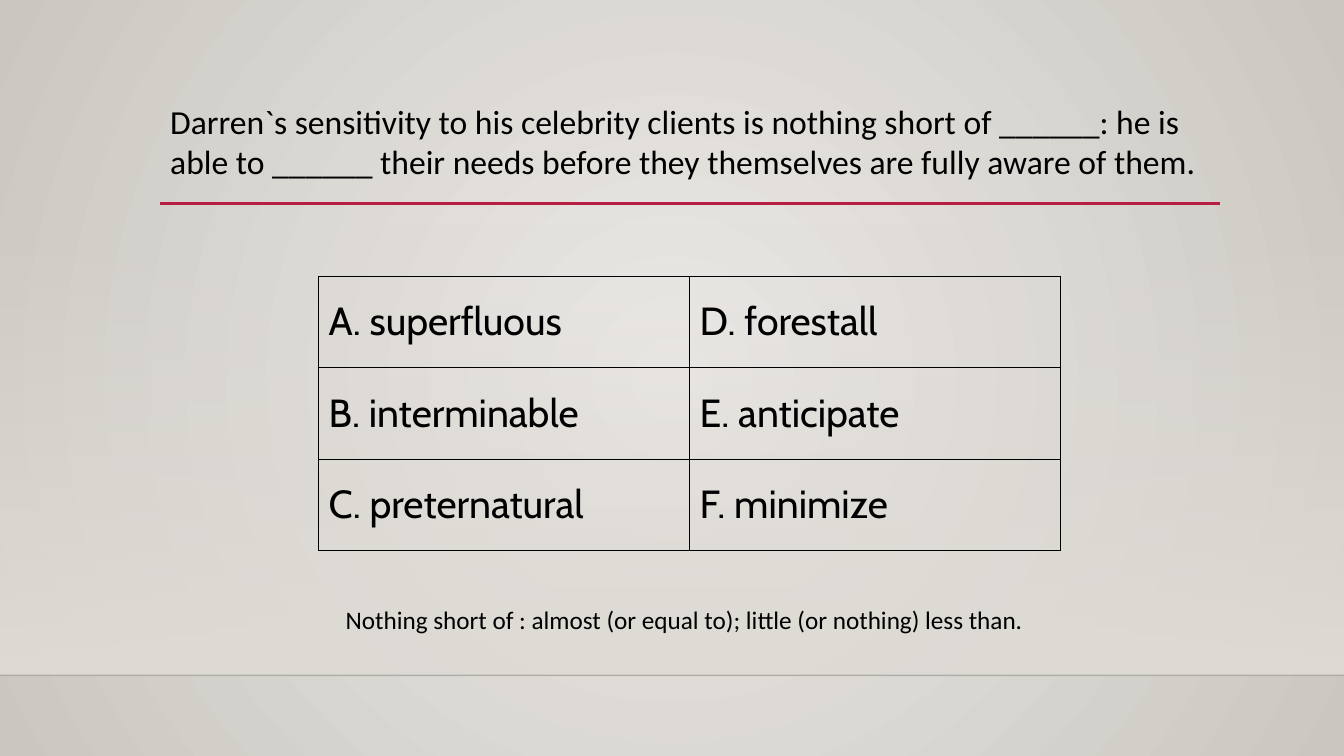
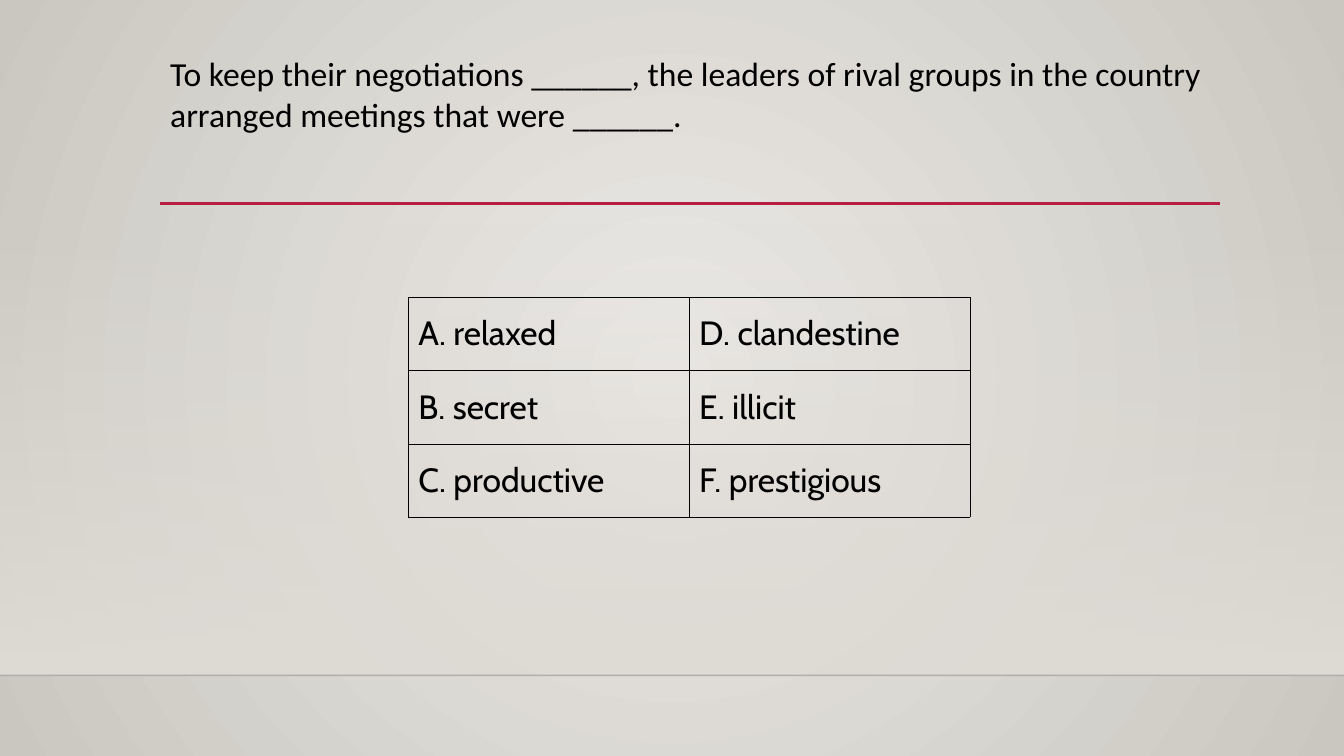
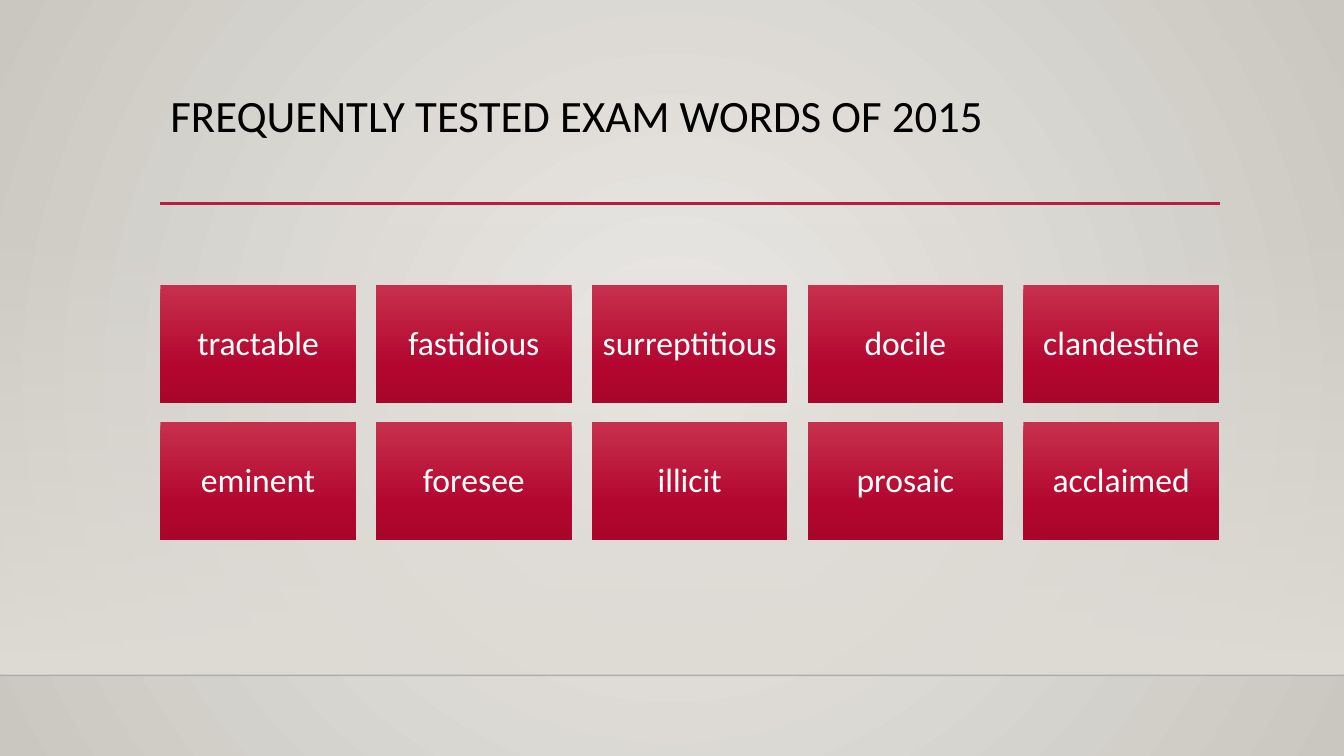
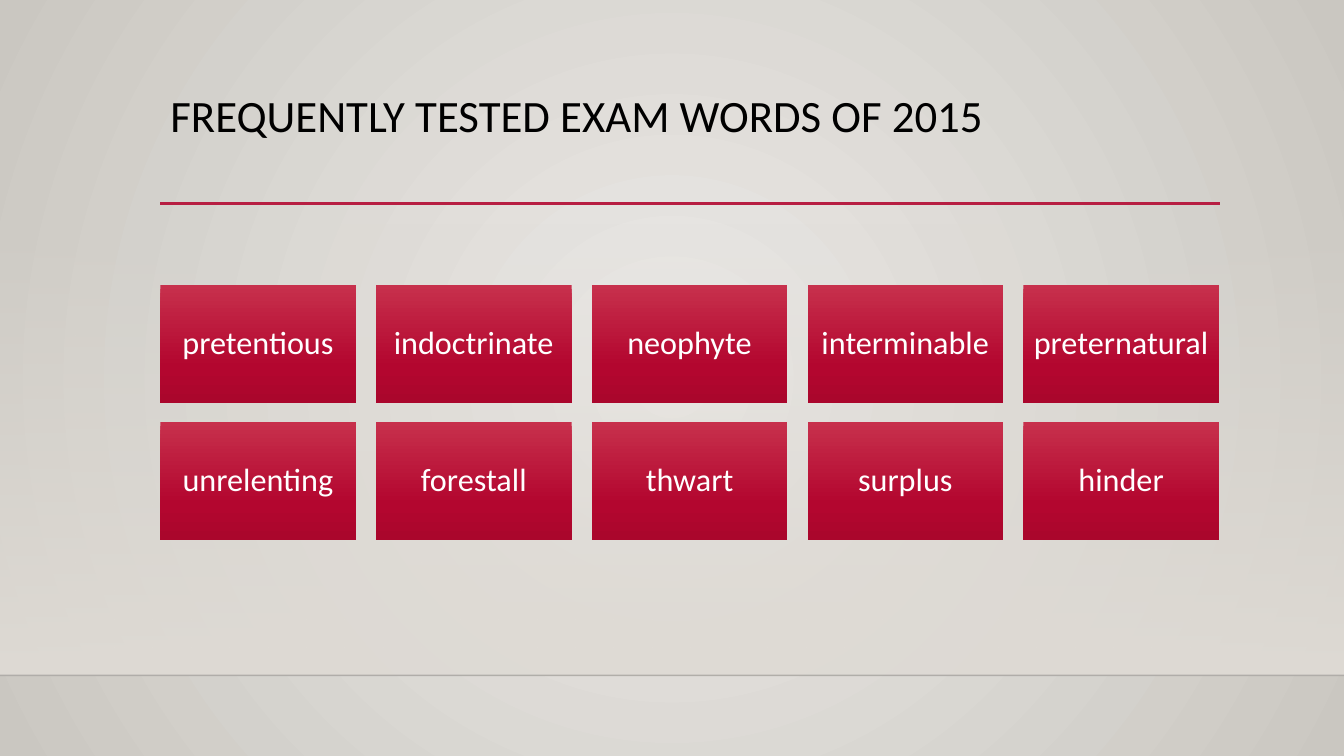
from lxml import etree
from pptx import Presentation
from pptx.dml.color import RGBColor
from pptx.enum.shapes import MSO_CONNECTOR, MSO_SHAPE
from pptx.enum.text import MSO_ANCHOR, MSO_AUTO_SIZE, PP_ALIGN
from pptx.oxml.ns import qn
from pptx.util import Inches, Pt

RECT, LINE = MSO_SHAPE.RECTANGLE, MSO_CONNECTOR.STRAIGHT
TOP, MIDDLE = MSO_ANCHOR.TOP, MSO_ANCHOR.MIDDLE
LEFT, CENTER = PP_ALIGN.LEFT, PP_ALIGN.CENTER

# Content
QUIZZES = [
    dict(ask="Darren`s sensitivity to his celebrity clients is nothing short of ______: "
             "he is able to ______ their needs before they themselves are fully aware of them.",
         top=0.95,
         rows=[("A. superfluous", "D. forestall"),
               ("B. interminable", "E. anticipate"),
               ("C. preternatural", "F. minimize")],
         box=(3.16, 2.74, 7.36, 2.72), size=28,
         note="Nothing short of : almost (or equal to); little (or nothing) less than."),
    dict(ask="To keep their negotiations ______, the leaders of rival groups in the country "
             "arranged meetings that were ______.",
         top=0.48,
         rows=[("A. relaxed", "D. clandestine"),
               ("B. secret", "E. illicit"),
               ("C. productive", "F. prestigious")],
         box=(4.05, 2.95, 5.57, 2.18), size=24, note=None),
]
HEAD = "FREQUENTLY TESTED EXAM WORDS OF 2015"
WORDS = [
    (24, ["tractable", "fastidious", "surreptitious", "docile", "clandestine",
          "eminent", "foresee", "illicit", "prosaic", "acclaimed"]),
    (23, ["pretentious", "indoctrinate", "neophyte", "interminable", "preternatural",
          "unrelenting", "forestall", "thwart", "surplus", "hinder"]),
]

# Shared look
WIDE, HIGH = 13.33, 7.5
EDGE, SPAN = 1.59, 10.5
RULE, FLOOR = 2.02, 6.7
BLACK, WHITE, RED = "000000", "FFFFFF", "B71E42"
BODY, CHOICE = "Calibri", "Cabin"
BACK = [(0, "ECEAE7", 100), (100, "CAC7C1", 100)]
BAND = [(0, "DFDBD5", 0), (100, "DFDBD5", 100)]
TILE = [(0, "C7304C", 100), (69, "B3062F", 100), (100, "AA062C", 100)]
COLS, TILE_TOP = 5, 2.83
TILE_W, TILE_H = 1.94, 1.17
STEP_X, STEP_Y = 2.14, 1.36


def inches(*vals):
    return [Inches(v) for v in vals]


def rgb(code):
    return RGBColor.from_string(code)


def sub(node, tag, **attrs):
    return etree.SubElement(node, qn(tag), {k: str(v) for k, v in attrs.items()})


def blend(owner, fill, stops, radial=False):
    """Give owner a gradient fill of (position, colour, opacity) stops."""
    fill.solid()
    old = owner.element.find(".//" + qn("a:solidFill"))
    grad = etree.Element(qn("a:gradFill"), rotWithShape="1")
    list_ = sub(grad, "a:gsLst")
    for pos, code, alpha in stops:
        stop = sub(list_, "a:gs", pos=pos * 1000)
        tint = sub(stop, "a:srgbClr", val=code)
        if alpha < 100:
            sub(tint, "a:alpha", val=alpha * 1000)
    if radial:
        ring = sub(grad, "a:path", path="circle")
        sub(ring, "a:fillToRect", **dict.fromkeys("ltrb", 50000))
    else:
        sub(grad, "a:lin", ang=5400000, scaled=0)
    old.getparent().replace(old, grad)


def write(frame, text, size, font=BODY, color=BLACK, align=LEFT, space=1.0):
    frame.text = text
    para = frame.paragraphs[0]
    para.alignment, para.line_spacing = align, space
    look = para.runs[0].font
    for key, val in dict(size=Pt(size), name=font, bold=False).items():
        setattr(look, key, val)
    look.color.rgb = rgb(color)


def add_box(slide, spot, text, size, wrap=True):
    frame = slide.shapes.add_textbox(*inches(*spot)).text_frame
    frame.word_wrap = wrap
    write(frame, text, size)


def add_rect(slide, spot, stops):
    rect = slide.shapes.add_shape(RECT, *inches(*spot))
    rect.shadow.inherit = False
    blend(rect, rect.fill, stops)
    rect.line.fill.background()
    return rect


def add_rule(slide, x1, x2, y, color, width):
    rule = slide.shapes.add_connector(LINE, *inches(x1, y, x2, y))
    rule.line.color.rgb, rule.line.width = rgb(color), Pt(width)
    sub(rule.element.spPr, "a:effectLst")
    return rule


def add_grid(slide, spot, rows, size):
    table = slide.shapes.add_table(len(rows), len(rows[0]), *inches(*spot)).table
    table.first_row = table.horz_banding = False
    for r, row in enumerate(rows):
        for c, text in enumerate(row):
            cell = table.cell(r, c)
            cell.vertical_anchor = MIDDLE
            write(cell.text_frame, text, size, CHOICE)
            props = cell._tc.get_or_add_tcPr()
            right = 0.48 if c == len(row) - 1 else 0.96
            for side, width in dict(L=0.96, R=right, T=0.48, B=0.48).items():
                edge = sub(props, "a:ln" + side, w=Pt(width))
                sub(sub(edge, "a:solidFill"), "a:srgbClr", val=BLACK)
            cell.fill.background()


def add_quiz(deck, quiz):
    slide = deck.slides.add_slide(deck.slide_layouts[6])
    add_box(slide, (EDGE, quiz["top"], SPAN, 0.91), quiz["ask"], 24)
    add_grid(slide, quiz["box"], quiz["rows"], quiz["size"])
    if quiz["note"]:
        add_box(slide, (3.33, 5.95, 7.03, 0.4), quiz["note"], 18, wrap=False)


def add_words(deck, size, words):
    slide = deck.slides.add_slide(deck.slide_layouts[5])
    title = slide.shapes.title
    title.left, title.top, title.width, title.height = inches(EDGE, 0.88, SPAN, 1.15)
    frame = title.text_frame
    frame.vertical_anchor, frame.auto_size = TOP, MSO_AUTO_SIZE.NONE
    write(frame, HEAD, 32, space=0.9)
    for i, word in enumerate(words):
        row, col = divmod(i, COLS)
        spot = (EDGE + col * STEP_X, TILE_TOP + row * STEP_Y, TILE_W, TILE_H)
        frame = add_rect(slide, spot, TILE).text_frame
        for side in ("left", "top", "right", "bottom"):
            setattr(frame, "margin_" + side, Inches(0.1))
        frame.word_wrap, frame.vertical_anchor = True, MIDDLE
        write(frame, word, size, color=WHITE, align=CENTER, space=0.9)


def dress(deck):
    """Put the background, band and rules on the master."""
    master, slide = deck.slide_master, deck.slides[0]
    blend(master, master.background.fill, BACK, radial=True)
    band = add_rect(slide, (0, 2.21, WIDE, FLOOR - 2.21), BAND)
    floor = add_rule(slide, 0, WIDE, FLOOR, "000001", 1)
    sub(floor.element.find(".//" + qn("a:srgbClr")), "a:alpha", val=20000)
    rule = add_rule(slide, EDGE, 12.1, RULE, RED, 2.5)
    for part in (band, floor, rule):
        master.shapes.element.append(part.element)


def main():
    deck = Presentation()
    deck.slide_width, deck.slide_height = inches(WIDE, HIGH)
    for quiz in QUIZZES:
        add_quiz(deck, quiz)
    for size, words in WORDS:
        add_words(deck, size, words)
    dress(deck)
    deck.save("out.pptx")


if __name__ == "__main__":
    main()
